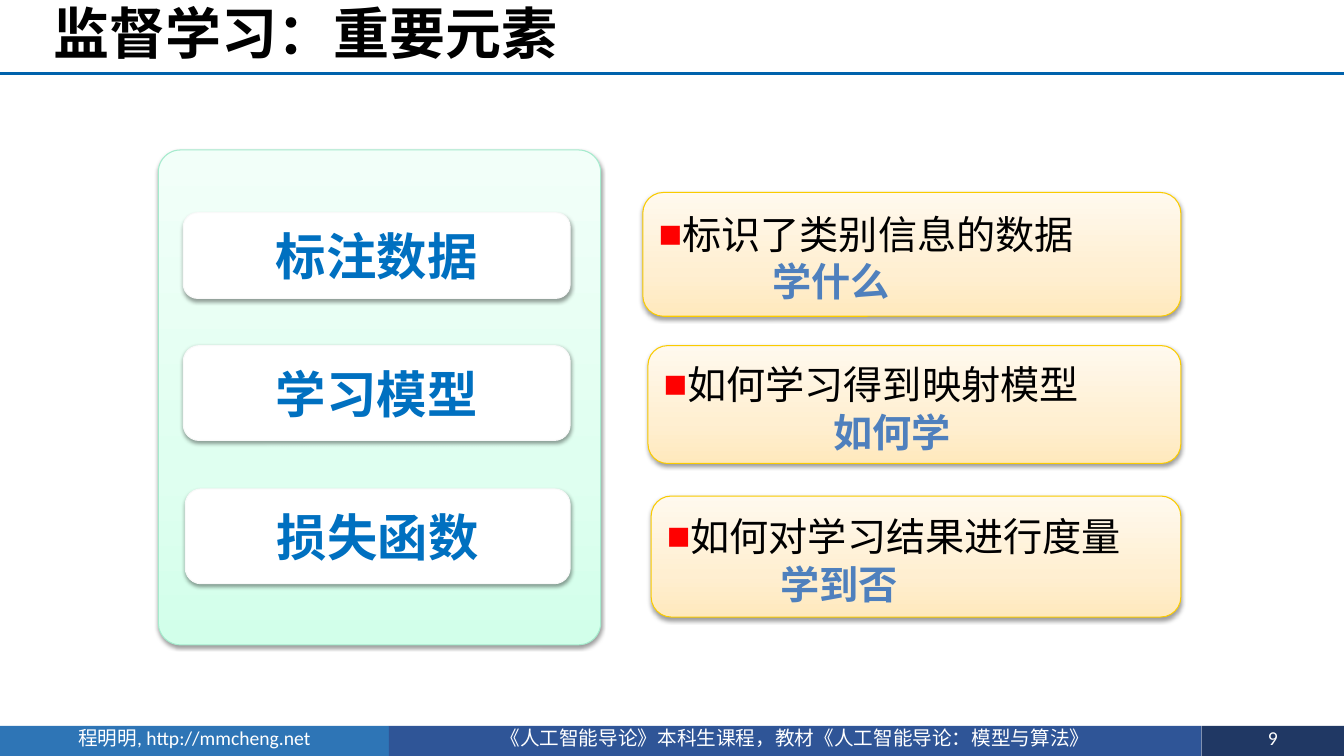
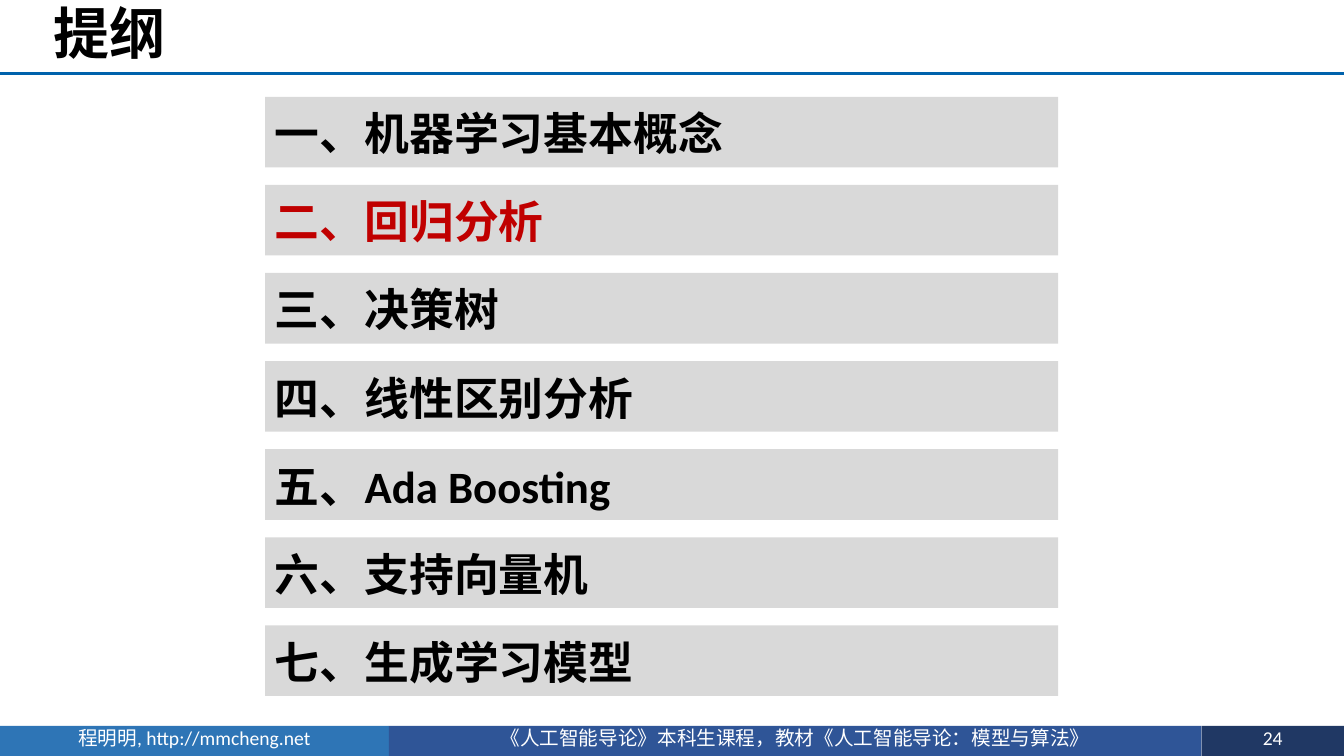
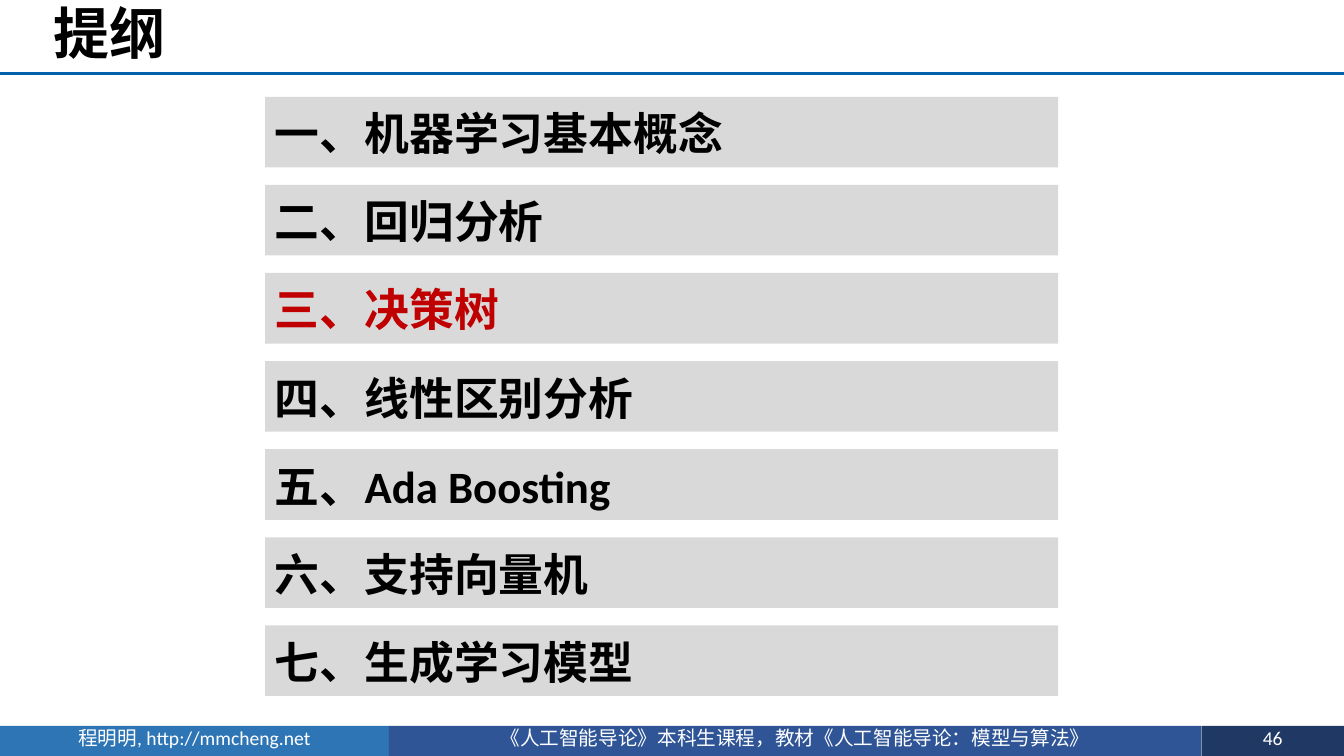
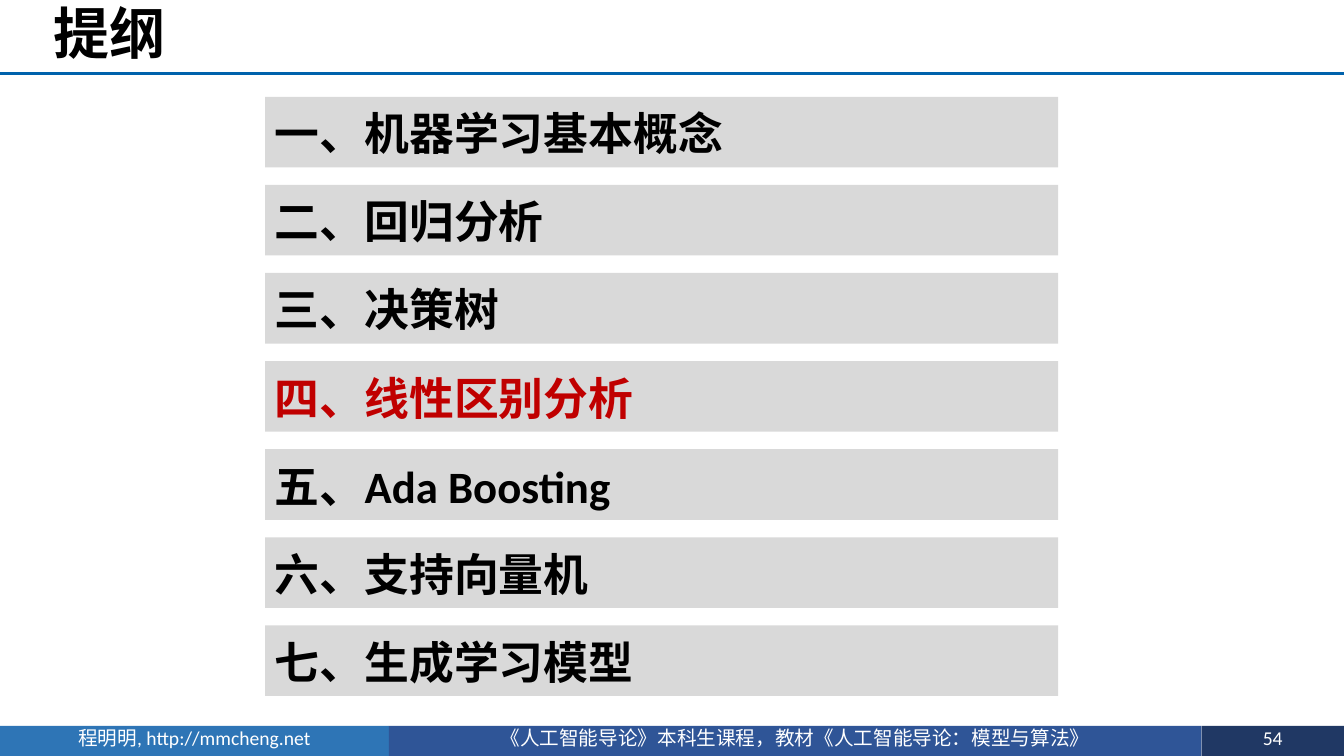
from lxml import etree
from copy import deepcopy
from pptx import Presentation
from pptx.dml.color import RGBColor
from pptx.enum import shapes, text
from pptx.oxml.ns import qn
from pptx.util import Cm, Pt

WHITE = RGBColor(0xFF, 0xFF, 0xFF)
BLACK = RGBColor(0x00, 0x00, 0x00)
RED = RGBColor(0xFF, 0x00, 0x00)
DARK_RED = RGBColor(0xC0, 0x00, 0x00)
RULE_BLUE = RGBColor(0x00, 0x62, 0xAC)
LABEL_BLUE = RGBColor(0x00, 0x70, 0xC0)
ANSWER_BLUE = RGBColor(0x4F, 0x80, 0xBD)
BAND_BLUES = (RGBColor(0x2E, 0x75, 0xB6), RGBColor(0x2F, 0x55, 0x97), RGBColor(0x20, 0x38, 0x64))
GREY = RGBColor(0xD9, 0xD9, 0xD9)
LABEL_EDGE = RGBColor(0xF9, 0xF9, 0xF9)
GREEN_EDGE = RGBColor(0xA5, 0xEB, 0xCD)
GREENS = (RGBColor(0xD2, 0xFF, 0xEA), RGBColor(0xDF, 0xFF, 0xF0), RGBColor(0xF2, 0xFF, 0xF9))
YELLOW_EDGE = RGBColor(0xFA, 0xCB, 0x00)
YELLOWS = (RGBColor(0xFF, 0xE9, 0xBD), RGBColor(0xFF, 0xEF, 0xD1), RGBColor(0xFF, 0xF9, 0xEE))
GRADIENT_POSITIONS = (0, 0.35, 1)

LATIN_FONT = "Calibri"
CHINESE_FONT = "Noto Sans CJK SC"
TITLE = {"size": Pt(40), "bold": True, "color": BLACK}
FOOTER = {"size": Pt(14), "color": WHITE}
AGENDA = {"size": Pt(32), "bold": True, "color": BLACK}
LABEL = {"size": Pt(36), "bold": True, "color": LABEL_BLUE, "name": "Times New Roman"}
QUESTION = {"size": Pt(28), "color": BLACK, "name": CHINESE_FONT}
ANSWER = QUESTION | {"bold": True, "color": ANSWER_BLUE}

RECTANGLE = shapes.MSO_SHAPE.RECTANGLE
ROUNDED = shapes.MSO_SHAPE.ROUNDED_RECTANGLE
LEFT, CENTER = text.PP_ALIGN.LEFT, text.PP_ALIGN.CENTER
TOP, MIDDLE = text.MSO_ANCHOR.TOP, text.MSO_ANCHOR.MIDDLE

SLIDE_WIDTH, SLIDE_HEIGHT = 33.87, 19.05
FOOTER_EDGES = (0, 9.8, 30.28, SLIDE_WIDTH)
AUTHOR = "程明明, http://mmcheng.net"
COURSE = "《人工智能导论》本科生课程，教材《人工智能导论：模型与算法》"

ELEMENTS_TITLE, ELEMENTS_PAGE = "监督学习：重要元素", 9
LABEL_RIGHT, CARD_RIGHT = 14.37, 29.76
# label: text, left, top, height; card: question, answer, answer indent, left, top, height
ELEMENTS = [
    (("标注数据", 4.62, 5.36, 2.16), ("标识了类别信息的数据", "学什么", 2.86, 16.2, 4.85, 3.12)),
    (("学习模型", 4.62, 8.71, 2.39), ("如何学习得到映射模型", "如何学", 4.28, 16.33, 8.71, 2.97)),
    (("损失函数", 4.67, 12.32, 2.39), ("如何对学习结果进行度量", "学到否", 2.86, 16.41, 12.5, 3.05)),
]

AGENDA_TITLE = "提纲"
CHAPTERS = ["一、机器学习基本概念", "二、回归分析", "三、决策树", "四、线性区别分析",
            "五、Ada Boosting", "六、支持向量机", "七、生成学习模型"]
AGENDA_PAGES = [(24, 1), (46, 2), (54, 3)]  # page number, current chapter
AGENDA_TOP, AGENDA_PITCH = 2.44, 2.22


def add_run(paragraph, words, style):
    run = paragraph.add_run()
    run.text = words
    values = {"name": LATIN_FONT} | style
    run.font.color.rgb = values.pop("color")
    for attribute, value in values.items():
        setattr(run.font, attribute, value)
    properties = run._r.get_or_add_rPr()
    etree.SubElement(properties, qn("a:ea"), typeface=CHINESE_FONT)


def set_frame(shape, anchor, left=0.25, top=0):
    frame = shape.text_frame
    frame.word_wrap = True
    frame.vertical_anchor = anchor
    frame.margin_left = frame.margin_right = Cm(left)
    frame.margin_top, frame.margin_bottom = Cm(top), 0
    return frame


def write_line(shape, words, style, align=LEFT, anchor=MIDDLE, top=0):
    paragraph = set_frame(shape, anchor, top=top).paragraphs[0]
    paragraph.alignment = align
    add_run(paragraph, words, style)
    return paragraph


def add_box(slide, kind, left, top, width, height, fill, edge=None):
    """Add a preset shape; fill is one colour or three gradient colours from the bottom up."""
    shape = slide.shapes.add_shape(kind, Cm(left), Cm(top), Cm(width), Cm(height))
    shape.shadow.inherit = False
    if isinstance(fill, RGBColor):
        shape.fill.solid()
        shape.fill.fore_color.rgb = fill
    else:
        shape.fill.gradient()
        shape.fill.gradient_angle = 90
        stop_list = next(shape._element.iter(qn("a:gsLst")))
        stop_list.insert(1, deepcopy(stop_list[0]))
        for stop, color, position in zip(shape.fill.gradient_stops, fill, GRADIENT_POSITIONS):
            stop.color.rgb = color
            stop.position = position
    if edge is None:
        shape.line.fill.background()
    else:
        shape.line.color.rgb = edge
        shape.line.width = Pt(0.75)
    return shape


def add_raised_box(slide, *arguments):
    """Add a rounded box with a soft shadow below it."""
    shape = add_box(slide, ROUNDED, *arguments)
    effects = shape._element.spPr.find(qn("a:effectLst"))
    shadow = etree.SubElement(effects, qn("a:outerShdw"), blurRad=str(Pt(3.1)),
                              dist=str(Pt(1.6)), dir="5400000", rotWithShape="0")
    color = etree.SubElement(shadow, qn("a:srgbClr"), val=str(BLACK))
    etree.SubElement(color, qn("a:alpha"), val="38000")
    return shape


def add_square_bullet(paragraph):
    properties = paragraph._p.get_or_add_pPr()
    properties.set("marL", str(Cm(0.58)))
    properties.set("indent", str(-Cm(0.58)))
    color = etree.SubElement(properties, qn("a:buClr"))
    etree.SubElement(color, qn("a:srgbClr"), val=str(RED))
    etree.SubElement(properties, qn("a:buFont"), typeface="Arial")
    etree.SubElement(properties, qn("a:buChar"), char="■")


def add_page(presentation, title, number):
    """Add a slide with the title, the rule below it and the footer bands."""
    slide = presentation.slides.add_slide(presentation.slide_layouts[6])
    bands = zip((AUTHOR, COURSE, str(number)), FOOTER_EDGES, FOOTER_EDGES[1:], BAND_BLUES)
    for words, left, right, color in bands:
        band = add_box(slide, RECTANGLE, left, 18.29, right - left, 0.86, color)
        write_line(band, words, FOOTER, CENTER, TOP)
    rule = slide.shapes.add_connector(shapes.MSO_CONNECTOR.STRAIGHT,
                                      0, Cm(1.85), Cm(SLIDE_WIDTH), Cm(1.85))
    rule.line.color.rgb = RULE_BLUE
    rule.line.width = Pt(2)
    etree.SubElement(rule._element.spPr, qn("a:effectLst"))
    title_box = slide.shapes.add_textbox(Cm(1.1), 0, Cm(32.77), Cm(1.85))
    write_line(title_box, title, TITLE).line_spacing = 0.9
    return slide


def add_label(slide, words, left, top, height):
    label = add_raised_box(slide, left, top, LABEL_RIGHT - left, height, WHITE, LABEL_EDGE)
    write_line(label, words, LABEL, CENTER)


def add_card(slide, question, answer, indent, left, top, height):
    card = add_raised_box(slide, left, top, CARD_RIGHT - left, height, YELLOWS, YELLOW_EDGE)
    first = write_line(card, question, QUESTION, top=0.14)
    second = card.text_frame.add_paragraph()
    second.alignment = LEFT
    add_run(second, answer, ANSWER)
    for paragraph in (first, second):
        paragraph.line_spacing = Pt(34)
    add_square_bullet(first)
    second._p.get_or_add_pPr().set("marL", str(Cm(indent)))


def add_elements_slide(presentation):
    slide = add_page(presentation, ELEMENTS_TITLE, ELEMENTS_PAGE)
    panel = add_raised_box(slide, 3.99, 3.78, 11.15, 12.47, GREENS, GREEN_EDGE)
    panel.adjustments[0] = 0.05
    for label, card in ELEMENTS:
        add_label(slide, *label)
        add_card(slide, *card)


def add_agenda_slide(presentation, number, current):
    slide = add_page(presentation, AGENDA_TITLE, number)
    for index, chapter in enumerate(CHAPTERS):
        bar = add_box(slide, RECTANGLE, 6.68, AGENDA_TOP + index * AGENDA_PITCH, 19.99, 1.78, GREY)
        style = AGENDA | {"color": DARK_RED if index == current else BLACK}
        write_line(bar, chapter, style, anchor=TOP, top=0.23)


def main():
    presentation = Presentation()
    presentation.slide_width = Cm(SLIDE_WIDTH)
    presentation.slide_height = Cm(SLIDE_HEIGHT)
    add_elements_slide(presentation)
    for number, current in AGENDA_PAGES:
        add_agenda_slide(presentation, number, current)
    presentation.save("out.pptx")


if __name__ == "__main__":
    main()
